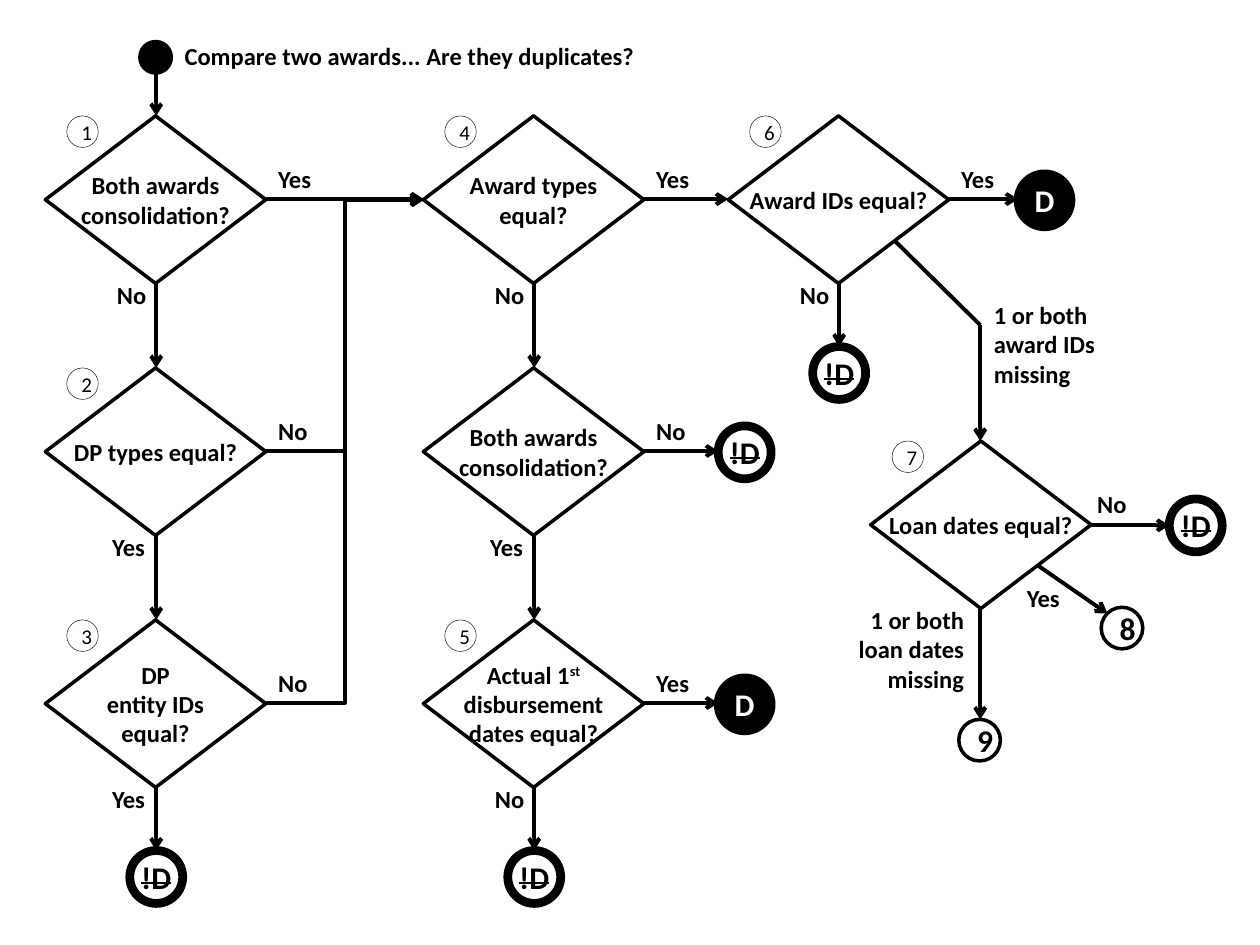
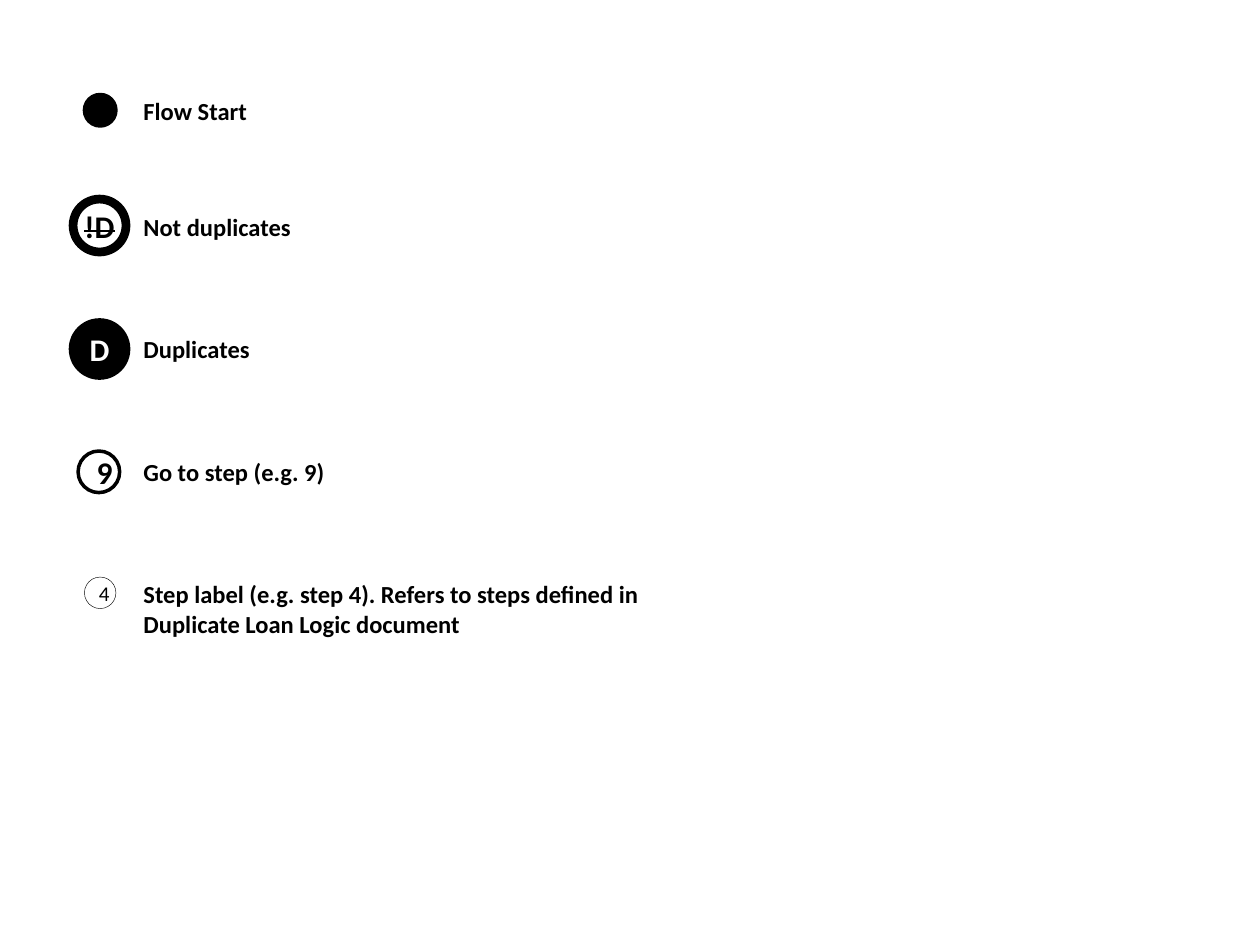
from lxml.etree import SubElement
from pptx import Presentation
from pptx.dml.color import RGBColor
from pptx.enum.shapes import MSO_CONNECTOR, MSO_SHAPE
from pptx.enum.text import MSO_ANCHOR, MSO_AUTO_SIZE, PP_ALIGN
from pptx.oxml.ns import qn
from pptx.util import Inches, Pt

FONT = "Calibri"
BLACK, WHITE = "000000", "FFFFFF"
LEFT, CENTER, RIGHT = PP_ALIGN.LEFT, PP_ALIGN.CENTER, PP_ALIGN.RIGHT
DIAMOND_WIDTH, DIAMOND_HEIGHT = 1.75, 1.33
CIRCLE = MSO_SHAPE.FLOWCHART_CONNECTOR
DECISION = dict(preset=MSO_SHAPE.FLOWCHART_DECISION, wrap=False)
START = dict(preset=CIRCLE, fill=BLACK)
DUPLICATE = dict(preset=CIRCLE, fill=BLACK, color=WHITE, line_width=5, size=18, wrap=False)
NOT_DUPLICATE = dict(preset=CIRCLE, line_width=5, size=18, wrap=False, strike=True)
GO_TO = dict(preset=CIRCLE, size=18)
STEP = dict(preset=CIRCLE, line_width=0.25, size=12, bold=False)


def add_text(slide, text, left, top, width, height, preset=None, fill=WHITE, line_width=2,
             size=14, color=BLACK, bold=True, strike=False, align=LEFT, wrap=True):
    box = [Inches(length) for length in (left, top, width, height)]
    if preset is None:
        shape = slide.shapes.add_textbox(*box)
        shape.text_frame.auto_size = MSO_AUTO_SIZE.SHAPE_TO_FIT_TEXT
    else:
        shape = slide.shapes.add_shape(preset, *box)
        shape.shadow.inherit = False
        shape.fill.solid()
        shape.fill.fore_color.rgb = RGBColor.from_string(fill)
        shape.line.color.rgb = RGBColor.from_string(BLACK)
        shape.line.width = Pt(line_width)
        shape.text_frame.vertical_anchor = MSO_ANCHOR.MIDDLE
        align = CENTER
    frame = shape.text_frame
    frame.word_wrap = wrap
    for number, line in enumerate(text.split("\n") if text else []):
        paragraph = frame.add_paragraph() if number else frame.paragraphs[0]
        paragraph.alignment = align
        for position, part in enumerate(line.split("^")):
            if not part:
                continue
            run = paragraph.add_run()
            run.text = part
            run.font.name = FONT
            run.font.size = Pt(size)
            run.font.bold = bold
            run.font.color.rgb = RGBColor.from_string(color)
            properties = run._r.get_or_add_rPr()
            if position % 2:
                properties.set("baseline", "30000")
            if strike:
                properties.set("strike", "sngStrike")


def add_line(slide, start, end, kind=MSO_CONNECTOR.STRAIGHT, arrow=True):
    connector = slide.shapes.add_connector(kind, *[Inches(length) for length in start + end])
    connector.line.color.rgb = RGBColor.from_string(BLACK)
    connector.line.width = Pt(2.25)
    properties = connector._element.spPr
    if arrow:
        SubElement(properties.find(qn("a:ln")), qn("a:tailEnd"), type="arrow")
    SubElement(properties, qn("a:effectLst"))


presentation = Presentation()
presentation.slide_width = Inches(10)
presentation.slide_height = Inches(7.5)
blank = presentation.slide_layouts[6]

flow = presentation.slides.add_slide(blank)

decisions = [
    ("1", 0.36, 0.92, "Both awards\nconsolidation?"),
    ("2", 0.36, 2.92, "DP types equal?"),
    ("3", 0.36, 4.92, "DP\nentity IDs\nequal?"),
    ("4", 3.36, 0.92, "Award types\nequal?"),
    ("", 3.36, 2.92, "Both awards\nconsolidation?"),
    ("5", 3.36, 4.92, "Actual 1^st^\ndisbursement\ndates equal?"),
    ("6", 5.78, 0.92, "Award IDs equal?"),
    ("7", 6.91, 3.5, "Loan dates equal?"),
]
for step, left, top, question in decisions:
    add_text(flow, question, left, top, DIAMOND_WIDTH, DIAMOND_HEIGHT, **DECISION)
    if step:
        add_text(flow, step, left + 0.17, top, 0.25, 0.25, **STEP)

outcomes = [
    ("", 1.11, 0.33, 0.25, START),
    ("!D", 1.03, 6.75, 0.42, NOT_DUPLICATE),
    ("!D", 4.03, 6.75, 0.42, NOT_DUPLICATE),
    ("!D", 5.7, 3.38, 0.42, NOT_DUPLICATE),
    ("!D", 6.45, 2.75, 0.42, NOT_DUPLICATE),
    ("!D", 9.28, 3.96, 0.42, NOT_DUPLICATE),
    ("D", 5.7, 5.38, 0.42, DUPLICATE),
    ("D", 8.08, 1.38, 0.42, DUPLICATE),
    ("8", 8.74, 4.82, 0.33, GO_TO),
    ("9", 7.61, 5.71, 0.33, GO_TO),
]
for text, left, top, size, style in outcomes:
    add_text(flow, text, left, top, size, size, **style)

for x in (1.24, 4.24):
    for top, bottom in ((2.25, 2.92), (4.25, 4.92), (6.25, 6.75)):
        add_line(flow, (x, top), (x, bottom))

arrows = [
    ((1.24, 0.58), (1.24, 0.92)),
    ((5.11, 1.58), (5.78, 1.58)),
    ((5.11, 3.58), (5.7, 3.58)),
    ((5.11, 5.58), (5.7, 5.58)),
    ((7.53, 1.58), (8.08, 1.58)),
    ((6.66, 2.25), (6.66, 2.75)),
    ((7.78, 2.58), (7.78, 3.5)),
    ((7.78, 4.83), (7.78, 5.71)),
    ((8.24, 4.49), (8.79, 4.87)),
    ((8.66, 4.17), (9.28, 4.17)),
]
for start, end in arrows:
    add_line(flow, start, end)
add_line(flow, (7.11, 1.92), (7.78, 2.58), arrow=False)

for start_y, end_y in ((5.58, 1.58), (1.58, 1.59), (3.58, 1.58)):
    add_line(flow, (2.11, start_y), (3.36, end_y), kind=MSO_CONNECTOR.ELBOW)

answers = [
    ("No", 0.83, 2.17, LEFT),
    ("Yes", 0.75, 4.17, RIGHT),
    ("Yes", 0.75, 6.17, RIGHT),
    ("Yes", 2.11, 1.25, LEFT),
    ("No", 2.11, 3.25, LEFT),
    ("No", 2.11, 5.25, LEFT),
    ("No", 3.83, 2.17, LEFT),
    ("Yes", 3.75, 4.17, RIGHT),
    ("No", 3.83, 6.17, LEFT),
    ("Yes", 5.11, 1.25, LEFT),
    ("No", 5.11, 3.25, LEFT),
    ("Yes", 5.11, 5.25, LEFT),
    ("No", 6.25, 2.17, LEFT),
    ("Yes", 7.53, 1.25, LEFT),
    ("Yes", 8.01, 4.58, RIGHT),
    ("No", 8.61, 3.83, LEFT),
]
for answer, left, top, align in answers:
    add_text(flow, answer, left, top, 0.5, 0.34, align=align)
add_text(flow, "1 or both award IDs missing", 7.79, 2.33, 1.25, 0.81)
add_text(flow, "1 or both loan dates missing", 6.5, 4.75, 1.25, 0.81, align=RIGHT)
add_text(flow, "Compare two awards... Are they duplicates?", 0.75, 0.28, 5, 0.34, align=CENTER)

legend = presentation.slides.add_slide(blank)

entries = [
    ("", 0.67, 0.75, 0.25, START, "Flow Start", 0.71, 2, 0.34),
    ("!D", 0.58, 1.58, 0.42, NOT_DUPLICATE, "Not duplicates", 1.63, 2, 0.34),
    ("D", 0.58, 2.56, 0.42, DUPLICATE, "Duplicates", 2.6, 2, 0.34),
    ("9", 0.62, 3.58, 0.33, GO_TO, "Go to step (e.g. 9)", 3.58, 2.16, 0.34),
    ("4", 0.67, 4.58, 0.25, STEP,
     "Step label (e.g. step 4). Refers to steps defined in Duplicate Loan Logic document",
     4.55, 4.72, 0.57),
]
for symbol, left, top, size, style, meaning, text_top, width, height in entries:
    add_text(legend, symbol, left, top, size, size, **style)
    add_text(legend, meaning, 1.04, text_top, width, height)

presentation.save("out.pptx")
